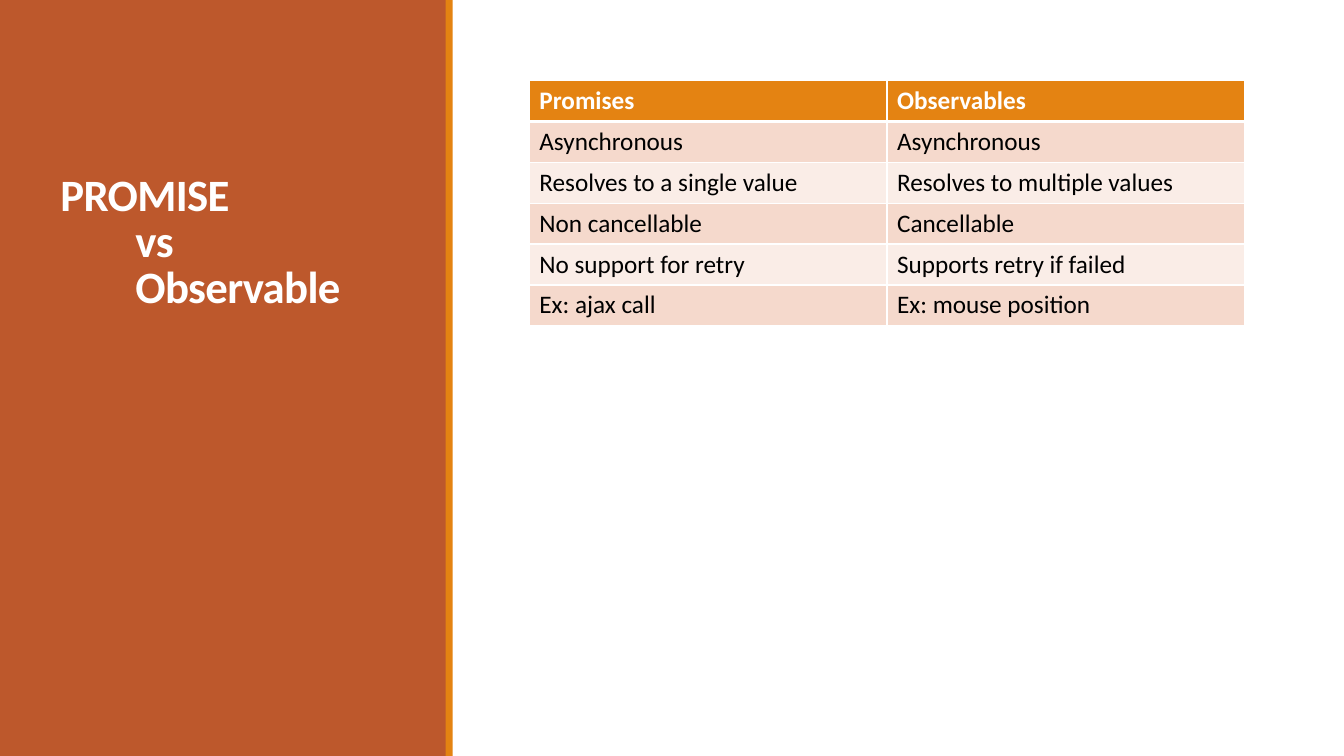
from lxml.etree import SubElement
from pptx import Presentation
from pptx.dml.color import RGBColor
from pptx.enum.shapes import MSO_SHAPE
from pptx.enum.text import MSO_ANCHOR, MSO_AUTO_SIZE, PP_ALIGN
from pptx.oxml.ns import qn
from pptx.util import Cm, Pt

COLORS = {
    "panel": "BD582C",
    "accent": "E48312",
    "white": "FFFFFF",
    "black": "000000",
    "band_dark": "F5D9CC",
    "band_light": "FAEDE7",
}
FONT = "Calibri"
HEADING = [("PROMISE", 0), ("vs", 1.89), ("Observable", 0)]
COMPARISON = [
    ("Promises", "Observables"),
    ("Asynchronous", "Asynchronous"),
    ("Resolves to a single value", "Resolves to multiple values"),
    ("Non cancellable", "Cancellable"),
    ("No support for retry", "Supports retry if failed"),
    ("Ex: ajax call", "Ex: mouse position"),
]


def rgb(name):
    return RGBColor.from_string(COLORS[name])


def write(paragraph, text, *, size, color, bold=False, spacing=None,
          line_spacing=None, indent=0):
    paragraph.alignment = PP_ALIGN.LEFT
    if line_spacing:
        paragraph.line_spacing = line_spacing
    if indent:
        properties = paragraph._p.get_or_add_pPr()
        properties.set("marL", str(Cm(indent)))
        properties.set("indent", "0")
    run = paragraph.add_run()
    run.text = text
    run.font.name = FONT
    run.font.size = Pt(size)
    run.font.bold = bold
    run.font.color.rgb = rgb(color)
    if spacing is not None:
        run._r.get_or_add_rPr().set("spc", str(int(spacing * 100)))


def add_bar(slide, left, top, width, height, color):
    bar = slide.shapes.add_shape(
        MSO_SHAPE.RECTANGLE, Cm(left), Cm(top), Cm(width), Cm(height))
    bar.shadow.inherit = False
    bar.fill.solid()
    bar.fill.fore_color.rgb = rgb(color)
    bar.line.fill.background()


def add_side_panel(slide, left, top, width, height):
    stripe_width = 0.18
    add_bar(slide, left, top, width, height, "panel")
    add_bar(slide, left + width - 0.02, top, stripe_width, height, "accent")

    heading = slide.shapes.title
    heading.element.getparent().append(heading.element)
    heading.left, heading.top = Cm(left + 1.27), Cm(top + 1.65)
    heading.width, heading.height = Cm(width - 2.36), Cm(6.35)
    frame = heading.text_frame
    frame.word_wrap = True
    frame.auto_size = MSO_AUTO_SIZE.NONE
    frame.vertical_anchor = MSO_ANCHOR.BOTTOM
    for index, (line, indent) in enumerate(HEADING):
        paragraph = frame.add_paragraph() if index else frame.paragraphs[0]
        write(paragraph, line, size=32, color="white", bold=True,
              spacing=-0.5, line_spacing=0.85, indent=indent)


def set_borders(cell, bottom_width, top_width):
    properties = cell._tc.get_or_add_tcPr()
    widths = {"lnL": 1, "lnR": 1, "lnT": top_width, "lnB": bottom_width}
    for side, width in widths.items():
        border = SubElement(properties, qn(f"a:{side}"), w=str(Pt(width)))
        fill = SubElement(border, qn("a:solidFill"))
        SubElement(fill, qn("a:srgbClr"), val=COLORS["white"])


def add_comparison(slide, left, top, width, height):
    table = slide.shapes.add_table(
        len(COMPARISON), len(COMPARISON[0]),
        Cm(left), Cm(top), Cm(width), Cm(height)).table
    for row in table.rows:
        row.height = Cm(height / len(COMPARISON))
    for row_index, entries in enumerate(COMPARISON):
        is_header = row_index == 0
        band = "band_dark" if row_index % 2 else "band_light"
        for column_index, entry in enumerate(entries):
            cell = table.cell(row_index, column_index)
            set_borders(cell, bottom_width=3 if is_header else 1,
                        top_width=3 if row_index == 1 else 1)
            cell.fill.solid()
            cell.fill.fore_color.rgb = rgb("accent" if is_header else band)
            write(cell.text_frame.paragraphs[0], entry, size=18,
                  color="white" if is_header else "black", bold=is_header)


def main():
    presentation = Presentation()
    presentation.slide_width = Cm(33.87)
    presentation.slide_height = Cm(19.05)
    slide = presentation.slides.add_slide(presentation.slide_layouts[5])
    add_side_panel(slide, 0, 0, 11.25, 19.05)
    add_comparison(slide, 13.34, 2.03, 18.03, 6.18)
    presentation.save("out.pptx")


if __name__ == "__main__":
    main()
